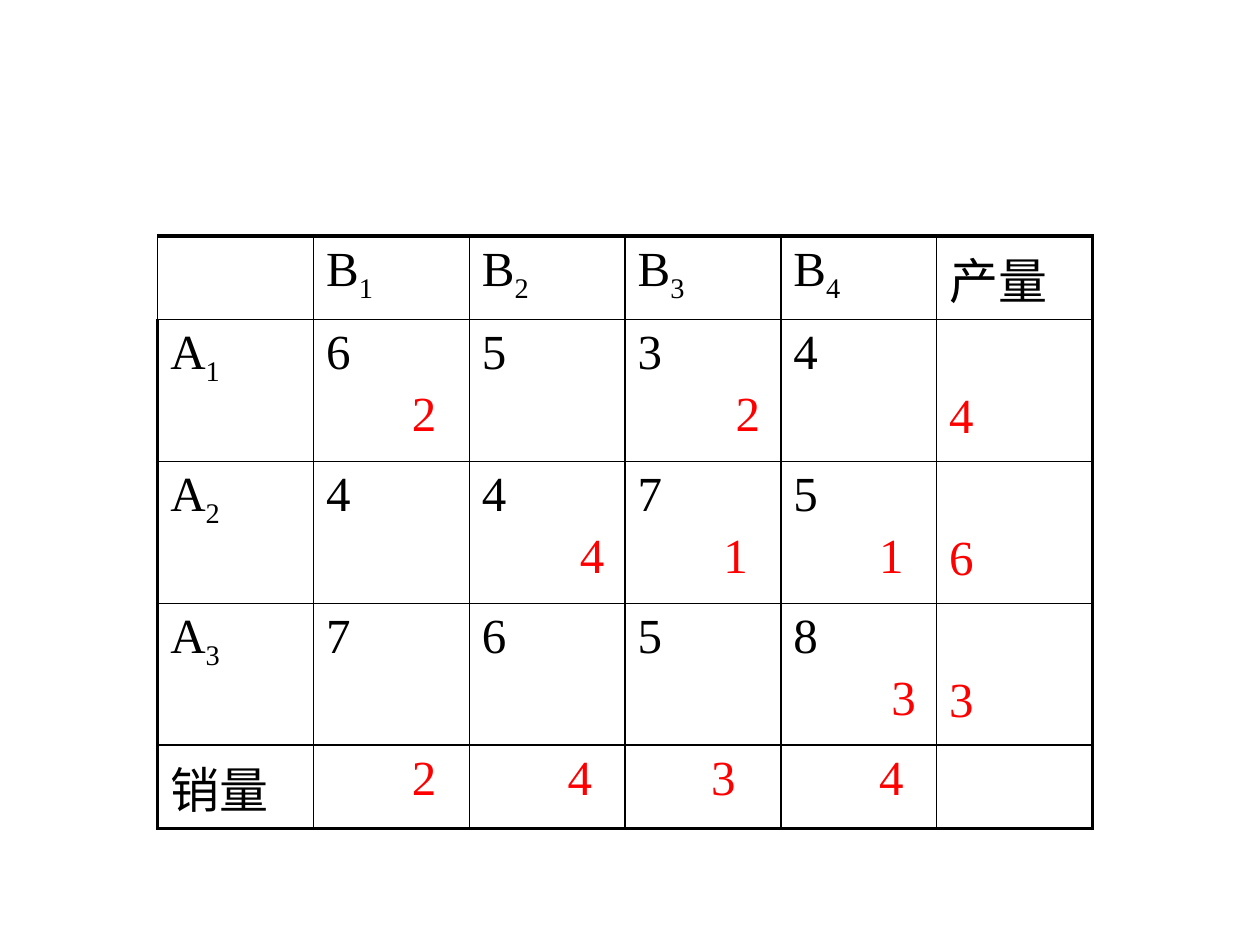
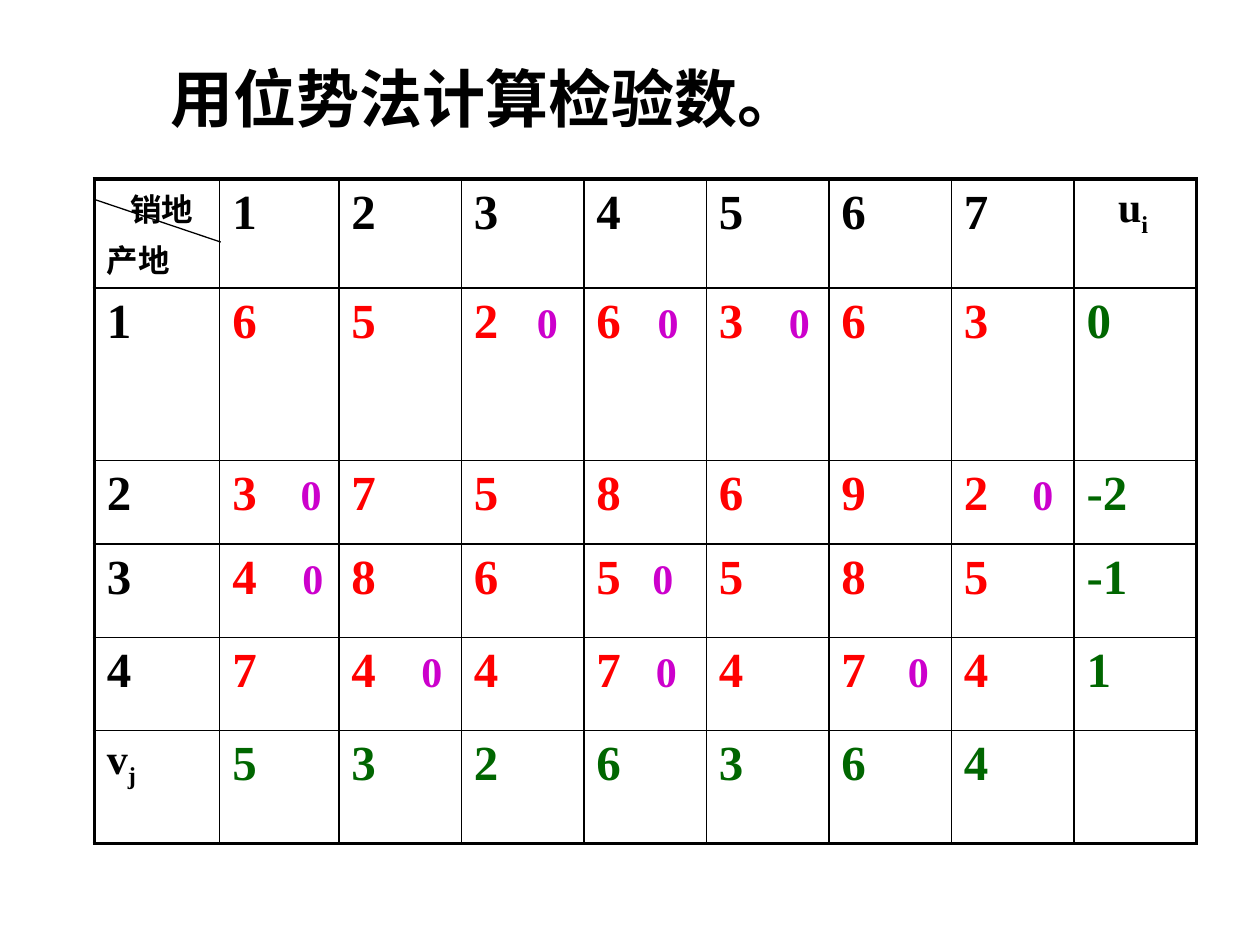
from dataclasses import dataclass

from lxml.etree import SubElement
from pptx import Presentation
from pptx.dml.color import RGBColor
from pptx.enum.shapes import MSO_CONNECTOR
from pptx.enum.text import MSO_ANCHOR, MSO_AUTO_SIZE, PP_ALIGN
from pptx.oxml.ns import qn
from pptx.util import Cm, Pt


@dataclass(frozen=True)
class Theme:
    """Colours, type sizes and line widths shared by the slides."""
    font: str = "Times New Roman"
    ink: str = "000000"
    red: str = "FF0000"
    green: str = "006600"
    purple: str = "CC00CC"
    title: int = 36
    body: int = 28
    label: int = 24
    corner: int = 18
    frame: float = 2.25
    grid: float = 1
    diagonal: float = 0.75
    gap: float = 4.4


class Deck:
    """Holds the theme and the current slide and draws each kind of element."""

    def __init__(self, theme):
        self.theme = theme
        self.prs = Presentation()
        self.prs.slide_width, self.prs.slide_height = Cm(25.4), Cm(19.05)

    def add_slide(self, layout):
        self.slide = self.prs.slides.add_slide(self.prs.slide_layouts.get_by_name(layout))

    def run(self, paragraph, text, color=None, size=None, bold=False, subscript=False):
        run = paragraph.add_run()
        run.text = text
        formats = {"name": self.theme.font, "size": Pt(size or self.theme.body), "bold": bold}
        for key, value in formats.items():
            setattr(run.font, key, value)
        run.font.color.rgb = RGBColor.from_string(color or self.theme.ink)
        if subscript:
            run.font._element.set("baseline", "-25000")

    def symbol(self, cell, text, **style):
        paragraph = cell.text_frame.paragraphs[0]
        self.run(paragraph, text[0], **style)
        self.run(paragraph, text[1:], subscript=True, **style)

    def indent(self, paragraph, points):
        paragraph._p.get_or_add_pPr().set("marL", str(Pt(points)))

    def tab_stop(self, paragraph, points):
        stops = SubElement(paragraph._p.get_or_add_pPr(), qn("a:tabLst"))
        SubElement(stops, qn("a:tab"), pos=str(Pt(points)), algn="l")

    def title(self, text, left, top, width, height):
        title = self.slide.shapes.title
        place = {"left": left, "top": top, "width": width, "height": height}
        for key, value in place.items():
            setattr(title, key, Cm(value))
        formats = {"auto_size": MSO_AUTO_SIZE.NONE, "vertical_anchor": MSO_ANCHOR.TOP, "word_wrap": True}
        for key, value in formats.items():
            setattr(title.text_frame, key, value)
        paragraph = title.text_frame.paragraphs[0]
        paragraph.alignment = PP_ALIGN.LEFT
        self.run(paragraph, text, size=self.theme.title, bold=True)

    def table(self, left, top, widths, heights, corner_edge):
        rows, columns = len(heights), len(widths)
        table = self.slide.shapes.add_table(
            rows, columns, Cm(left), Cm(top), Cm(sum(widths)), Cm(sum(heights))).table
        table.first_row = table.horz_banding = False
        for column, width in zip(table.columns, widths):
            column.width = Cm(width)
        for row, height in zip(table.rows, heights):
            row.height = Cm(height)
        for r in range(rows):
            for c in range(columns):
                outer = {"lnL": c == 0, "lnR": c == columns - 1, "lnT": r == 0, "lnB": r == rows - 1}
                edges = {tag: self.theme.frame if out else self.theme.grid for tag, out in outer.items()}
                if r == c == 0:
                    edges["lnL"] = corner_edge
                self.borders(table.cell(r, c), edges)
        return table

    def borders(self, cell, edges):
        properties = cell._tc.get_or_add_tcPr()
        for tag, width in edges.items():
            edge = SubElement(properties, qn(f"a:{tag}"), w=str(Pt(width)))
            fill = SubElement(edge, qn("a:solidFill"))
            SubElement(fill, qn("a:srgbClr"), val=self.theme.ink)
        cell.fill.background()

    def line(self, *ends):
        line = self.slide.shapes.add_connector(MSO_CONNECTOR.STRAIGHT, *map(Cm, ends))
        line.line.width = Pt(self.theme.diagonal)
        line.line.color.rgb = RGBColor.from_string(self.theme.ink)
        SubElement(line._element.spPr, qn("a:effectLst"))


def transport_plan(deck):
    """Draw the costs with the shipped amounts, supplies and demands."""
    theme = deck.theme
    costs = [[6, 5, 3, 4], [4, 4, 7, 5], [7, 6, 5, 8]]
    shipments = {(1, 1): (2, 49), (1, 3): (2, 56), (2, 2): (4, 56),
                 (2, 3): (1, 49), (2, 4): (1, 49), (3, 4): (3, 56)}
    supplies = [4, 6, 3]
    demands = [(2, 49), (4, 49), (3, 42), (4, 49)]

    deck.add_slide("Blank")
    plan = deck.table(3.18, 4.76, [3.14] * 6, [1.61, 2.86, 2.86, 2.86, 1.44], theme.grid)
    for c, (demand, offset) in enumerate(demands, 1):
        deck.symbol(plan.cell(0, c), f"B{c}")
        paragraph = plan.cell(4, c).text_frame.paragraphs[0]
        deck.indent(paragraph, offset)
        deck.run(paragraph, str(demand), theme.red)
    for (r, c), heading in {(0, 5): "产量", (4, 0): "销量"}.items():
        deck.run(plan.cell(r, c).text_frame.paragraphs[0], heading)
    for r, (row, supply) in enumerate(zip(costs, supplies), 1):
        deck.symbol(plan.cell(r, 0), f"A{r}")
        for c, cost in enumerate(row, 1):
            frame = plan.cell(r, c).text_frame
            deck.run(frame.paragraphs[0], str(cost))
            if (r, c) in shipments:
                amount, offset = shipments[r, c]
                paragraph = frame.add_paragraph()
                deck.indent(paragraph, offset)
                paragraph.space_before = Pt(theme.gap)
                deck.run(paragraph, str(amount), theme.red)
        total = plan.cell(r, 5)
        total.vertical_anchor = MSO_ANCHOR.BOTTOM
        total.margin_bottom = Cm(0.35)
        deck.run(total.text_frame.paragraphs[0], str(supply), theme.red)


def potentials(deck):
    """Draw the costs with the row and column potentials and zero test numbers."""
    theme = deck.theme
    costs = [[6, 5, 2, 6, 3, 6, 3], [3, 7, 5, 8, 6, 9, 2],
             [4, 8, 6, 5, 5, 8, 5], [7, 4, 4, 7, 4, 7, 4]]
    row_potentials = [0, -2, -1, 1]
    column_potentials = [5, 3, 2, 6, 3, 6, 4]
    zero_offsets = {(1, 3): 36, (1, 4): 35, (1, 5): 40, (2, 1): 39, (2, 7): 39,
                    (3, 1): 40, (3, 4): 32, (4, 2): 40, (4, 4): 34, (4, 6): 38}

    deck.add_slide("Title Only")
    deck.title("用位势法计算检验数。", 3.18, 1.07, 19.05, 1.78)
    tests = deck.table(1.9, 3.61, [2.53, 2.4] + [2.47] * 7,
                       [1.92, 3.47, 1.69, 1.88, 1.88, 2.28], theme.frame)

    corner = tests.cell(0, 0).text_frame
    destination, origin = corner.paragraphs[0], corner.add_paragraph()
    deck.indent(destination, 13.5)
    origin.space_before = Pt(3)
    for paragraph, heading in [(destination, "销地"), (origin, "产地")]:
        deck.run(paragraph, heading, size=theme.corner, bold=True)

    deck.indent(tests.cell(0, 8).text_frame.paragraphs[0], 18)
    for (r, c), name in {(0, 8): "ui", (5, 0): "vj"}.items():
        deck.symbol(tests.cell(r, c), name, size=theme.label, bold=True)

    entries = {(0, c): (c, theme.ink) for c in range(1, 8)}
    entries |= {(5, c): (v, theme.green) for c, v in enumerate(column_potentials, 1)}
    for r, (row, potential) in enumerate(zip(costs, row_potentials), 1):
        entries |= {(r, 0): (r, theme.ink), (r, 8): (potential, theme.green)}
        entries |= {(r, c): (cost, theme.red) for c, cost in enumerate(row, 1)}
    for (r, c), (value, color) in entries.items():
        paragraph = tests.cell(r, c).text_frame.paragraphs[0]
        if (r, c) in zero_offsets:
            deck.tab_stop(paragraph, zero_offsets[r, c])
        deck.run(paragraph, str(value), color, bold=True)
        if (r, c) in zero_offsets:
            deck.run(paragraph, "\t0", theme.purple, theme.label, bold=True)

    deck.line(1.9, 4.02, 4.45, 4.88)


def main():
    """Build and save both slides."""
    deck = Deck(Theme())
    transport_plan(deck)
    potentials(deck)
    deck.prs.save("out.pptx")


if __name__ == "__main__":
    main()
